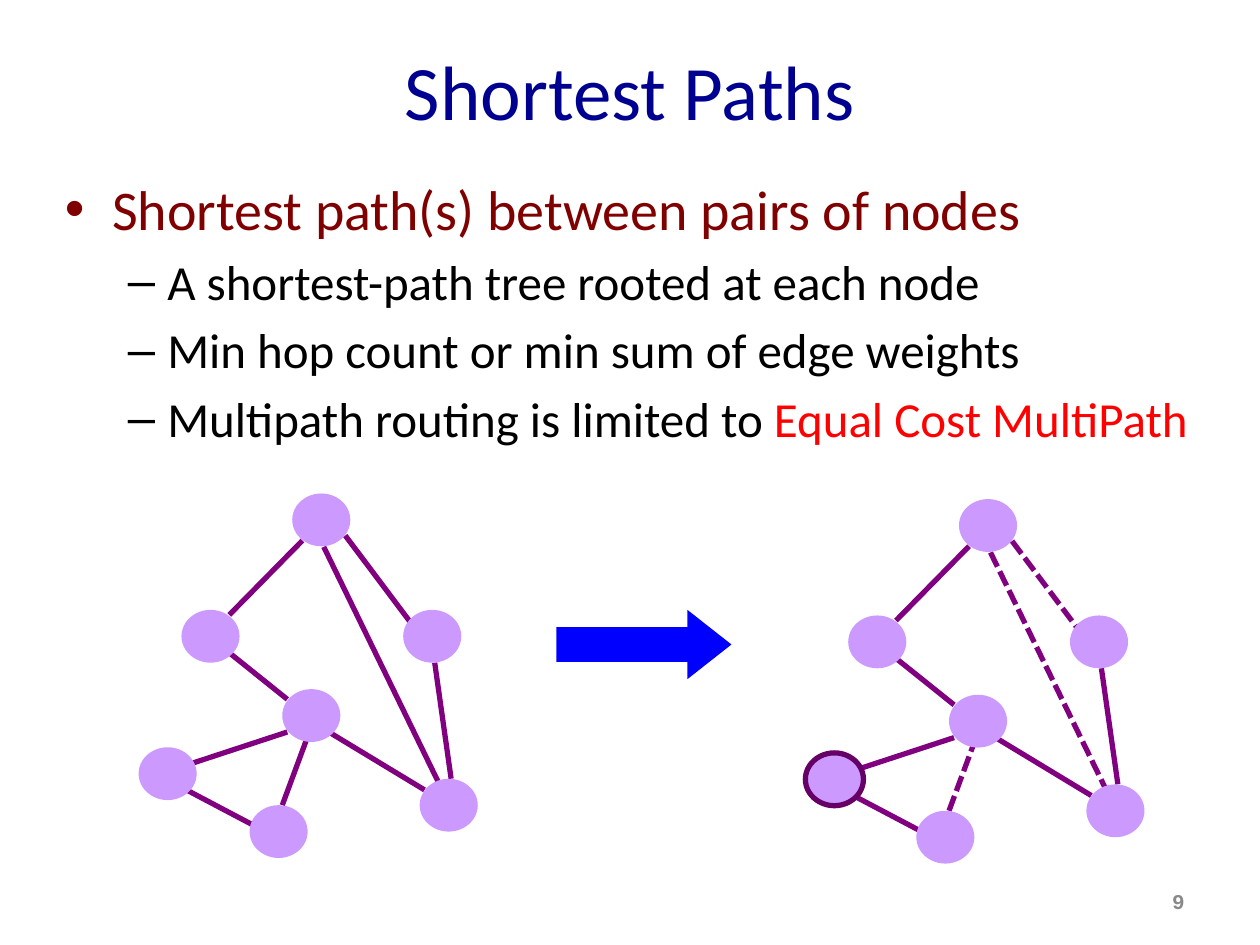
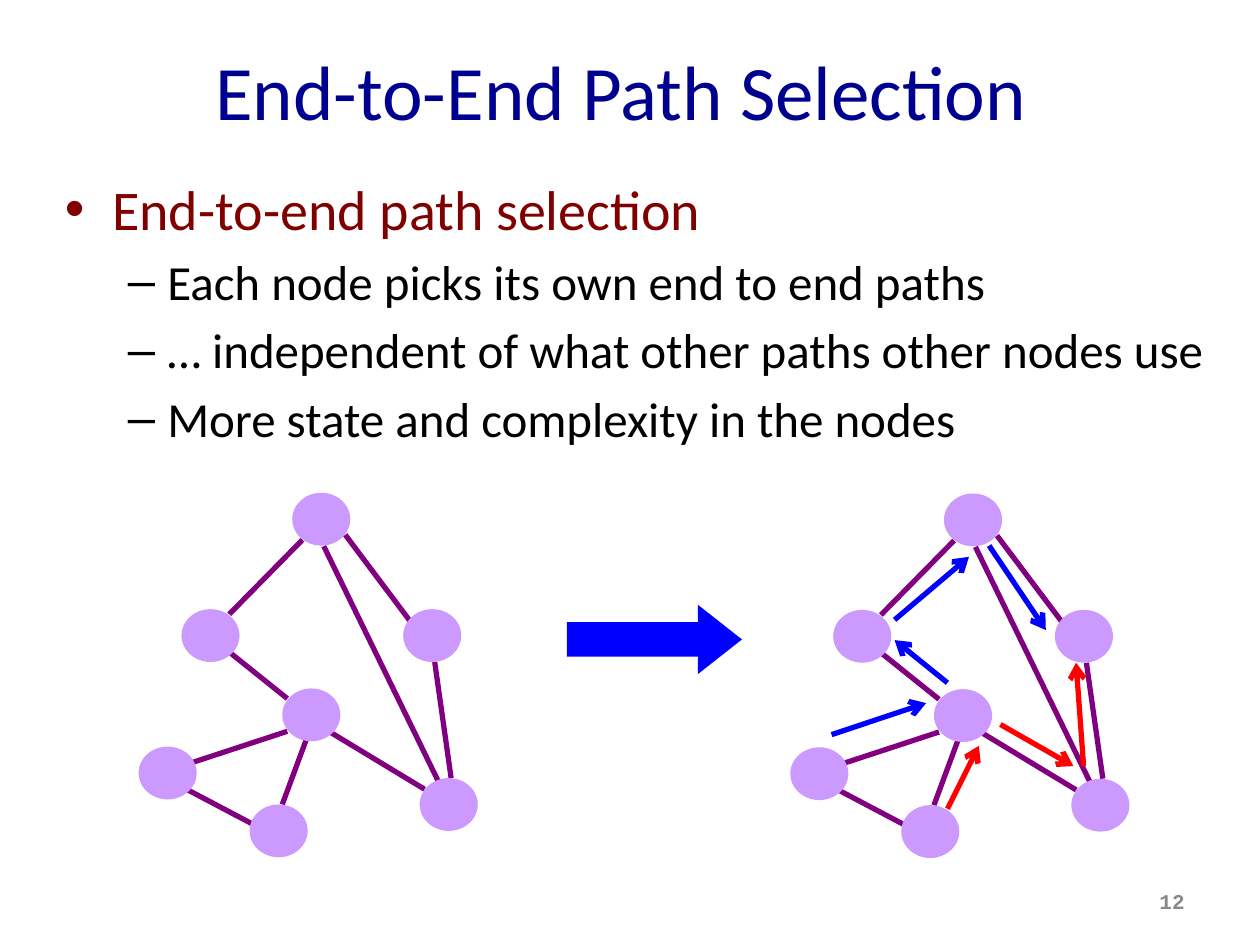
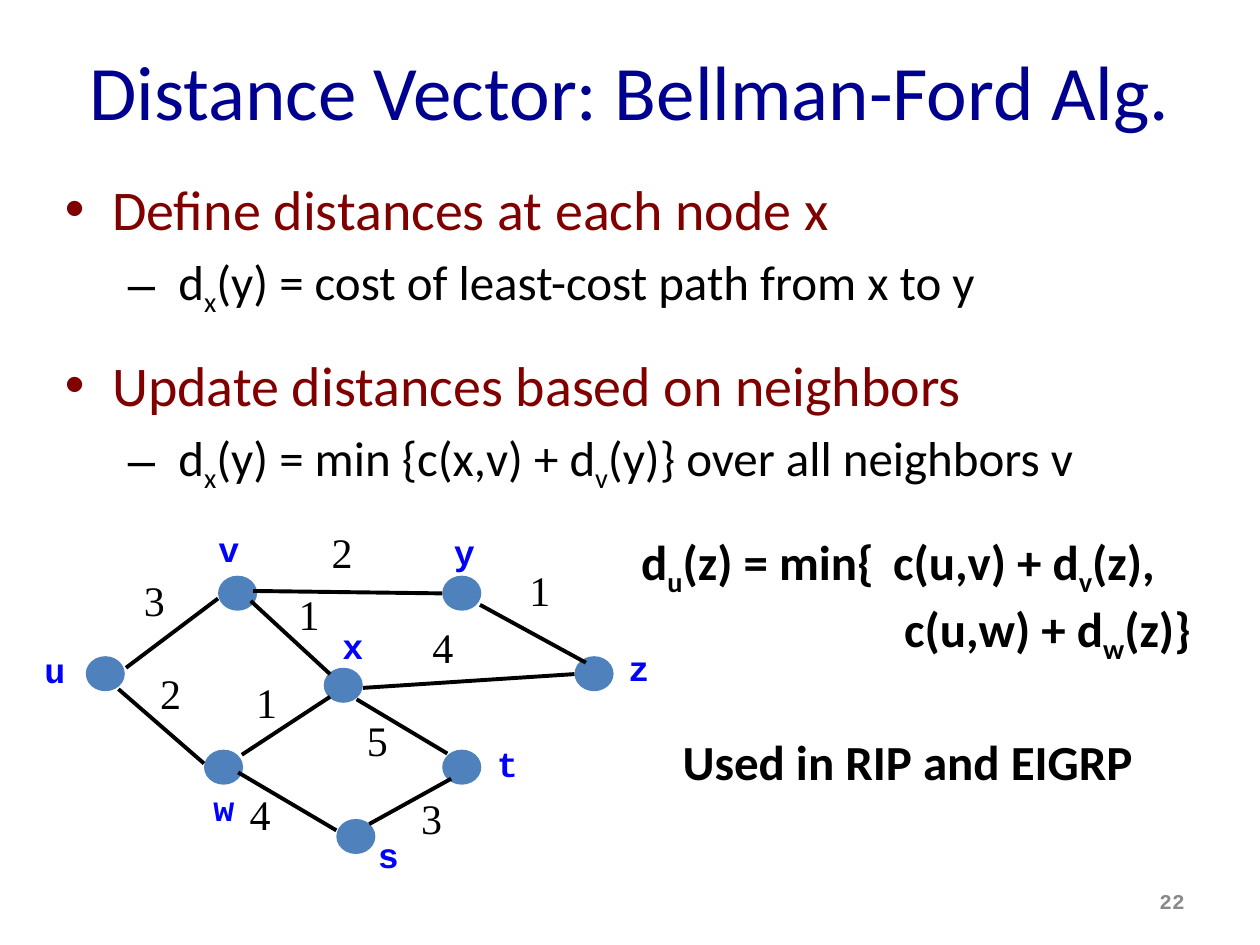
import pptx
import pptx.util
import pptx.dml.color
import pptx.oxml
import pptx.oxml.ns
import pptx.enum.dml
import pptx.enum.shapes
import pptx.enum.text

Pt = pptx.util.Pt
ALIGN = pptx.enum.text.PP_ALIGN
ANCHOR = pptx.enum.text.MSO_ANCHOR
SHAPE = pptx.enum.shapes.MSO_SHAPE

# Shared style
NAVY, MAROON, BLACK, GREY = "000090", "800000", "000000", "898989"
BLUE, RED = "0000FF", "FF0000"
LILAC, PURPLE, ROOT_RING, STEEL = "CC99FF", "800080", "660066", "4F81BD"
SANS, MONO, SERIF = "Calibri", "Courier New", "Times New Roman"
# Per outline level: bullet, text size, colour, left margin, hanging indent
LEVELS = [("•", 32, MAROON, 27, 27), ("–", 28, BLACK, 58.5, 22.5)]


def sub(text):
    return text, {"baseline": -25000}


# Slide text: (level, runs, space after)
SHORTEST = [
    (0, ["Shortest path(s) between pairs of nodes"], 0),
    (1, ["A shortest-path tree rooted at each node"], 0),
    (1, ["Min hop count or min sum of edge weights"], 0),
    (1, ["Multipath routing is limited to ",
         ("Equal Cost MultiPath", {"color": RED})], 0),
]
END_TO_END = [
    (0, ["End-to-end path selection"], 0),
    (1, ["Each node picks its own end to end paths"], 0),
    (1, ["… independent of what other paths other nodes use"], 0),
    (1, ["More state and complexity in the nodes"], 0),
]
BELLMAN_FORD = [
    (0, ["Define distances at each node x"], 0),
    (1, [" d", sub("x"), "(y) = cost of least-cost path from x to y"], 12),
    (0, ["Update distances based on neighbors"], 0),
    (1, [" d", sub("x"), "(y) = min {c(x,v) + d", sub("v"),
         "(y)} over all neighbors v"], 0),
]
# Formula lines: (left margin, runs)
FORMULA = [
    (0, ["d", sub("u"), "(z) = min{\tc(u,v) + d", sub("v"), "(z),"]),
    (150.3, ["c(u,w) + d", sub("w"), "(z)}"]),
]

# Seven-node network: node corners, and edge ends on the node rims
NODE_SIZE = (33.2, 30.2)
NODES = {
    "top": (167, 282), "left": (103.7, 348.5), "right": (230.4, 348.5),
    "middle": (161.3, 393.8), "far": (239.8, 445),
    "root": (79.2, 427), "bottom": (142.6, 460.1),
}
EDGES = {
    "top-left": (172.8, 308.9, 131, 351.4),
    "top-right": (197.3, 306, 236.2, 357.8),
    "left-middle": (131, 373, 164.2, 399.6),
    "middle-far": (187.9, 418.3, 242.6, 451.4),
    "right-far": (248.4, 378.7, 257.8, 445),
    "top-far": (185, 312.5, 251.3, 448.6),
    "root-middle": (109.4, 436.3, 164.2, 418.3),
    "bottom-middle": (161.3, 460.1, 175.7, 421.2),
    "bottom-root": (146.2, 472.3, 106.6, 451.4),
}
UNUSED_EDGES = {"top-right", "top-far", "bottom-middle"}
CHOSEN_PATHS = {
    BLUE: [(475.2, 419.8, 529.2, 401.8), (541.4, 390.2, 511.2, 365.8),
           (511.2, 354.2, 553.7, 318.2), (565.2, 311.8, 597.6, 360)],
    RED: [(541.4, 462.2, 559.4, 426.2), (571.7, 414, 613.4, 437.8),
          (619.2, 437.8, 614.9, 378.7)],
}

# Weighted network: name -> (node corner, centre and top of its label)
ROUTER_SIZE = (22.3, 20)
ROUTERS = {
    "u": ((49, 375), (31.3, 367.2)), "v": ((124.6, 329), (130.7, 298)),
    "w": ((116.6, 428.4), (127.8, 445.7)), "x": ((185, 381.6), (201.6, 353.5)),
    "y": ((252.7, 329), (265.3, 299.5)), "z": ((328.3, 375), (365, 365.8)),
    "s": ((192.2, 468), (221.8, 473)), "t": ((252.7, 428.4), (289.8, 420.5)),
}
# Links: cost, ends, corner of the cost label
LINKS = [
    ("3", (72, 381.6, 124.6, 342), (74.9, 324.7)),
    ("2", (67.7, 393.8, 116.6, 436.3), (84.2, 378)),
    ("1", (143.3, 343.4, 188.6, 385.2), (163.4, 332.6)),
    ("4", (136.1, 441.4, 192.2, 474.5), (135.4, 447.1)),
    ("1", (138.2, 431.3, 188.6, 398.2), (139, 383)),
    ("5", (203.8, 399.6, 255.6, 430.6), (202.3, 404.6)),
    ("3", (211, 470.9, 257.8, 445), (233.3, 449.3)),
    ("4", (207.4, 393.1, 328.3, 385.2), (239.8, 351.4)),
    ("2", (144.7, 337.7, 252.7, 339.1), (182.2, 297.4)),
    ("1", (274.3, 345.6, 334.8, 378.7), (295.2, 319)),
]


# Drawing helpers
def rgb(value):
    return pptx.dml.color.RGBColor.from_string(value)


def add_xml(parent, tag, **attributes):
    child = pptx.oxml.parse_xml(f"<a:{tag} {pptx.oxml.ns.nsdecls('a')}/>")
    for name, value in attributes.items():
        child.set(name, str(value))
    parent.append(child)
    return child


def add_runs(paragraph, runs, size, color, font=SANS, bold=False):
    for item in runs:
        text, style = (item, {}) if isinstance(item, str) else item
        run = paragraph.add_run()
        run.text = text
        run.font.size = Pt(size)
        run.font.name = font
        run.font.bold = bold
        run.font.color.rgb = rgb(style.get("color", color))
        if "baseline" in style:
            run.font._element.set("baseline", str(style["baseline"]))


def text_frame(slide, left, top, width, height, wrap=True):
    box = slide.shapes.add_textbox(Pt(left), Pt(top), Pt(width), Pt(height))
    box.text_frame.word_wrap = wrap
    return box.text_frame


def label(slide, text, place, size, color, font, bold=False,
          align=ALIGN.CENTER, wrap=False):
    frame = text_frame(slide, *place, wrap=wrap)
    frame.paragraphs[0].alignment = align
    add_runs(frame.paragraphs[0], [text], size, color, font, bold)
    return frame


def paragraph_at(frame, index):
    return frame.add_paragraph() if index else frame.paragraphs[0]


def solid(slide, kind, corner, size, color, ring=None):
    shape = slide.shapes.add_shape(kind, *map(Pt, (*corner, *size)))
    shape.shadow.inherit = False
    shape.fill.solid()
    shape.fill.fore_color.rgb = rgb(color)
    if ring:
        shape.line.color.rgb = rgb(ring)
        shape.line.width = Pt(3)
    else:
        shape.line.fill.background()
    return shape


def line(slide, ends, color=PURPLE, width=3, dashed=False, arrow=False):
    connector = slide.shapes.add_connector(
        pptx.enum.shapes.MSO_CONNECTOR.STRAIGHT, *map(Pt, ends))
    connector.line.color.rgb = rgb(color)
    connector.line.width = Pt(width)
    if dashed:
        connector.line.dash_style = pptx.enum.dml.MSO_LINE.SQUARE_DOT
    if arrow:
        add_xml(connector.line._get_or_add_ln(), "tailEnd", type="arrow")
    add_xml(connector._element.spPr, "effectLst")


def network(slide, dx=0, dy=0, dashed=(), root=None):
    for name, (x1, y1, x2, y2) in EDGES.items():
        line(slide, (x1 + dx, y1 + dy, x2 + dx, y2 + dy), dashed=name in dashed)
    for name, (x, y) in NODES.items():
        solid(slide, SHAPE.OVAL, (x + dx, y + dy), NODE_SIZE, LILAC,
              ROOT_RING if name == root else None)


def block_arrow(slide, left, top):
    arrow = solid(slide, SHAPE.RIGHT_ARROW, (left, top), (100, 39.6), BLUE)
    arrow.adjustments[0] = 0.5
    arrow.adjustments[1] = 0.635


def new_slide(deck, title, outline, number):
    slide = deck.slides.add_slide(deck.slide_layouts[5])
    heading = slide.shapes.title
    heading.left, heading.top, heading.width, heading.height = map(
        Pt, (36, 6, 648, 90))
    heading.text_frame.vertical_anchor = ANCHOR.MIDDLE
    heading.text_frame.paragraphs[0].alignment = ALIGN.CENTER
    add_runs(heading.text_frame.paragraphs[0], [title], 44, NAVY)

    body = text_frame(slide, 30, 96, 672, 386.6)
    for index, (level, runs, after) in enumerate(outline):
        bullet, size, color, margin, hanging = LEVELS[level]
        paragraph = paragraph_at(body, index)
        paragraph.level = level
        paragraph.space_before = Pt(size * 0.2)
        paragraph.space_after = Pt(after)
        properties = paragraph._p.get_or_add_pPr()
        properties.set("marL", str(Pt(margin)))
        properties.set("indent", str(-Pt(hanging)))
        add_xml(properties, "buFont", typeface="Arial")
        add_xml(properties, "buChar", char=bullet)
        add_runs(paragraph, runs, size, color)

    footer = label(slide, number, (516, 500.5, 168, 28.8), 12, GREY, MONO,
                   True, ALIGN.RIGHT, wrap=True)
    footer.vertical_anchor = ANCHOR.MIDDLE
    return slide


def weighted_network(slide):
    for corner, _ in ROUTERS.values():
        solid(slide, SHAPE.OVAL, corner, ROUTER_SIZE, STEEL)
    for cost, ends, corner in LINKS:
        line(slide, ends, BLACK, 2.25)
        label(slide, cost, (*corner, 26.6, 36), 24, BLACK, SERIF)
    for name, (_, (centre, top)) in ROUTERS.items():
        label(slide, name, (centre - 13, top, 26, 31), 20, BLUE, MONO, True)


def formula(slide):
    frame = text_frame(slide, 359.3, 300.2, 342.7, 75)
    for index, (margin, runs) in enumerate(FORMULA):
        paragraph = paragraph_at(frame, index)
        properties = paragraph._p.get_or_add_pPr()
        properties.set("marL", str(Pt(margin)))
        properties.set("indent", "0")
        add_xml(add_xml(properties, "tabLst"), "tab", pos=Pt(144), algn="l")
        add_runs(paragraph, runs, 28, BLACK, bold=True)


def main():
    deck = pptx.Presentation()
    deck.slide_width, deck.slide_height = Pt(720), Pt(540)

    # Shortest-path tree
    slide = new_slide(deck, "Shortest Paths", SHORTEST, "9")
    network(slide)
    block_arrow(slide, 318, 348.5)
    network(slide, 381, 3.2, UNUSED_EDGES, "root")

    # Paths chosen end to end
    slide = new_slide(deck, "End-to-End Path Selection ", END_TO_END, "12")
    network(slide, 0, -0.4)
    block_arrow(slide, 324, 345.6)
    network(slide, 372.4)
    for color, hops in CHOSEN_PATHS.items():
        for hop in hops:
            line(slide, hop, color, arrow=True)

    # Distance vector
    slide = new_slide(deck, "Distance Vector: Bellman-Ford Alg.",
                      BELLMAN_FORD, "22")
    weighted_network(slide)
    formula(slide)
    label(slide, "Used in RIP and EIGRP", (383, 414.7, 274.3, 41), 28, BLACK,
          SANS, True, ALIGN.LEFT)

    deck.save("out.pptx")


if __name__ == "__main__":
    main()
